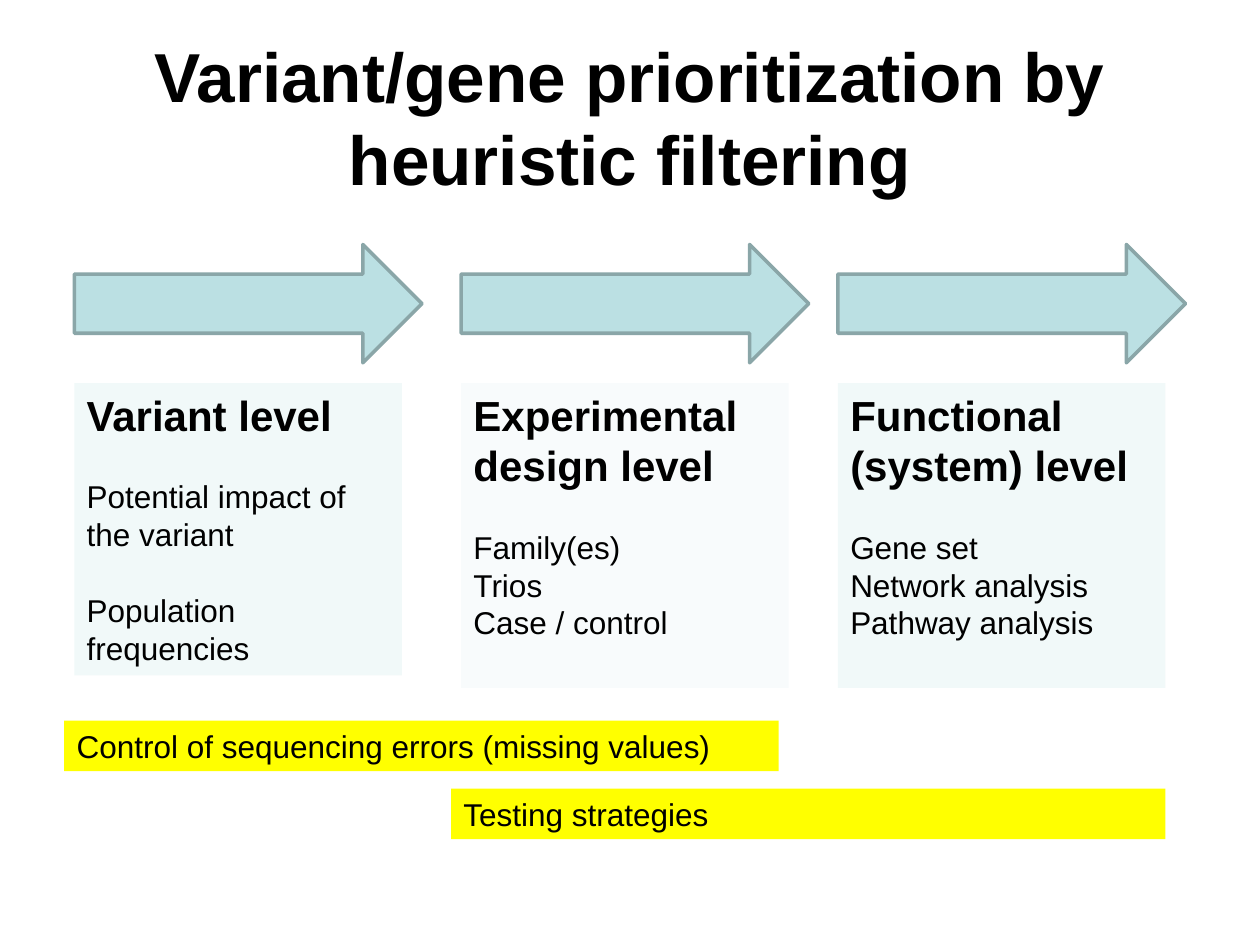
from pptx import Presentation
from pptx.dml.color import RGBColor
from pptx.enum import shapes, text
from pptx.util import Inches, Pt

BLACK = RGBColor(0x00, 0x00, 0x00)
MINT = RGBColor(0xF1, 0xF9, 0xF9)
ICE = RGBColor(0xF8, 0xFB, 0xFC)
YELLOW = RGBColor(0xFF, 0xFF, 0x00)
TEAL = RGBColor(0xBB, 0xE0, 0xE3)
TEAL_DARK = RGBColor(0x8A, 0xA6, 0xA8)


def style(p, size, bold, align):
    p.alignment = align
    for r in p.runs:
        r.font.name = "Arial"
        r.font.size = Pt(size)
        r.font.bold = bold
        r.font.color.rgb = BLACK


def add_box(left, top, width, height, color, lines):
    sp = s.shapes.add_shape(shapes.MSO_SHAPE.RECTANGLE, Inches(left),
                            Inches(top), Inches(width), Inches(height))
    sp.shadow.inherit = False
    sp.fill.solid()
    sp.fill.fore_color.rgb = color
    sp.line.fill.background()
    tf = sp.text_frame
    tf.word_wrap = True
    tf.auto_size = text.MSO_AUTO_SIZE.SHAPE_TO_FIT_TEXT
    tf.vertical_anchor = text.MSO_ANCHOR.TOP
    tf.text = "\n".join(lines)
    for p in tf.paragraphs:
        style(p, 18, False, text.PP_ALIGN.LEFT)
    return tf


prs = Presentation()
prs.slide_width = Inches(10)
prs.slide_height = Inches(7.5)
s = prs.slides.add_slide(prs.slide_layouts[5])

title = s.shapes.title
title.left, title.top = Inches(0.5), Inches(0.3)
title.width, title.height = Inches(9), Inches(1.25)
tf = title.text_frame
tf.text = "Variant/gene prioritization by heuristic filtering"
tf.word_wrap = True
tf.auto_size = text.MSO_AUTO_SIZE.NONE
tf.vertical_anchor = text.MSO_ANCHOR.MIDDLE
style(tf.paragraphs[0], 39.6, True, text.PP_ALIGN.CENTER)

levels = [
    (0.59, 2.32, MINT, ["Variant level", "Potential impact of the variant",
                        "Population frequencies"], [1, 2]),
    (3.66, 2.42, ICE, ["Experimental design level", "Family(es)", "Trios",
                       "Case / control"], [1]),
    (6.65, 2.42, MINT, ["Functional (system) level", "Gene set",
                        "Network analysis", "Pathway analysis"], [1]),
]
for left, height, color, lines, spaced in levels:
    tf = add_box(left, 3.04, 2.6, height, color, lines)
    style(tf.paragraphs[0], 24, True, text.PP_ALIGN.LEFT)
    for i in spaced:
        tf.paragraphs[i].space_before = Pt(21.6)

add_box(3.58, 6.26, 5.67, 0.4, YELLOW, ["Testing strategies"])
add_box(0.51, 5.72, 5.67, 0.4, YELLOW,
        ["Control of sequencing errors (missing values)"])

for left, *_ in levels:
    arrow = s.shapes.add_shape(shapes.MSO_SHAPE.RIGHT_ARROW, Inches(left),
                               Inches(1.94), Inches(2.76), Inches(0.94))
    arrow.shadow.inherit = False
    arrow.fill.solid()
    arrow.fill.fore_color.rgb = TEAL
    arrow.line.color.rgb = TEAL_DARK
    arrow.line.width = Pt(2)

prs.save("out.pptx")
